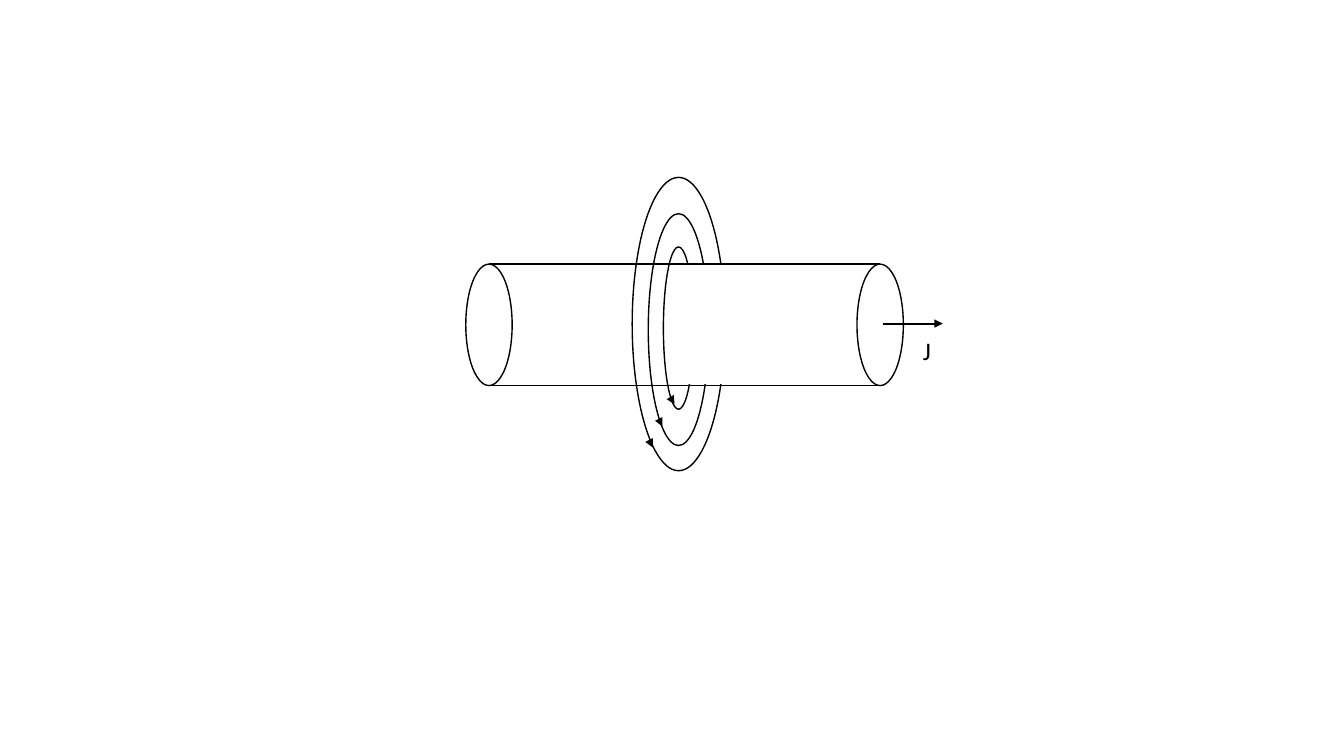
from pptx import Presentation
from pptx.dml.color import RGBColor
from pptx.enum.shapes import MSO_CONNECTOR as Link, MSO_SHAPE as Kind
from pptx.enum.text import MSO_AUTO_SIZE as Fit
from pptx.oxml.ns import qn
from pptx.util import Inches, Pt
from lxml.etree import SubElement

CELL = 0.1  # inches per column and per row
INK, PAPER = "000000", "FFFFFF"


def grid(*cells):
    """Turn grid columns and rows into lengths."""
    return [Inches(n * CELL) for n in cells]


def paint(part, code):
    """Give a fill, line or font a solid hex colour."""
    if hasattr(part, "solid"):
        part.solid()
        part.fore_color.rgb = RGBColor.from_string(code)
    else:
        part.color.rgb = RGBColor.from_string(code)


def oval(slide, x, y, w, h):
    """Draw an unfilled ellipse."""
    shape = slide.shapes.add_shape(Kind.OVAL, *grid(x, y, w, h))
    shape.shadow.inherit = False
    shape.fill.background()
    paint(shape.line, INK)
    shape.line.width = Pt(1)


def line(slide, x, y, dx, dy, width=1, arrow=False):
    """Draw a line from a point by an offset, with an optional arrowhead."""
    link = slide.shapes.add_connector(
        Link.STRAIGHT, *grid(x, y, x + dx, y + dy))
    paint(link.line, INK)
    link.line.width = Pt(width)
    props = link._element.spPr
    if arrow:
        SubElement(props.find(qn("a:ln")), qn("a:tailEnd"), type="triangle")
    SubElement(props, qn("a:effectLst"))


def tube(slide, x, y, w, h, cap=4.6):
    """Draw a cylinder as two end caps joined by two edges."""
    for left in (x + w - cap, x):
        oval(slide, left, y, cap, h)
    for top in (y, y + h):
        line(slide, x + cap / 2, top, w - cap, 0)


def field(slide, x, y, w, h):
    """Draw nested field loops, hidden behind the tube, with arrows."""
    mid = x + w / 2
    loops = [(3, 6.9, 16.1), (6, 3.6, 23), (w, 0, h)]
    for wide, drop, tall in loops:
        oval(slide, mid - wide / 2, y + drop, wide, tall)
    mask = slide.shapes.add_shape(
        Kind.RECTANGLE, *grid(mid - 0.4, y + 8.7, 5.4, 11.8))
    mask.shadow.inherit = False
    paint(mask.fill, PAPER)
    mask.line.fill.background()
    tips = [(1.9, 26.5, 0.15, 0.3), (2.7, 24.1, 0.3, 0.6),
            (3.9, 22, 0.3, 0.5)]
    for left, drop, dx, dy in tips:
        line(slide, x + left, y + drop, dx, dy, 0.5, True)


def flow(slide, x, y, w, h):
    """Draw the current arrow and its label."""
    line(slide, x, y, w, 0, 1.5, True)
    box = slide.shapes.add_textbox(*grid(x + w / 2, y + 0.7, 3.9, h - 0.7))
    frame = box.text_frame
    frame.word_wrap = True
    frame.auto_size = Fit.SHAPE_TO_FIT_TEXT
    label = frame.paragraphs[0]
    label.text = "J"
    label.font.name = "Calibri"
    label.font.size = Pt(18)
    paint(label.font, INK)


def main():
    """Build the slide and save it."""
    deck = Presentation()
    deck.slide_width, deck.slide_height = Inches(13.33), Inches(7.5)
    slide = deck.slides.add_slide(deck.slide_layouts[6])
    tube(slide, 46.2, 26.2, 43.4, 12.05)
    field(slide, 62.7, 17.6, 9.2, 29.1)
    flow(slide, 87.6, 32.1, 5.9, 4.7)
    deck.save("out.pptx")


main()
